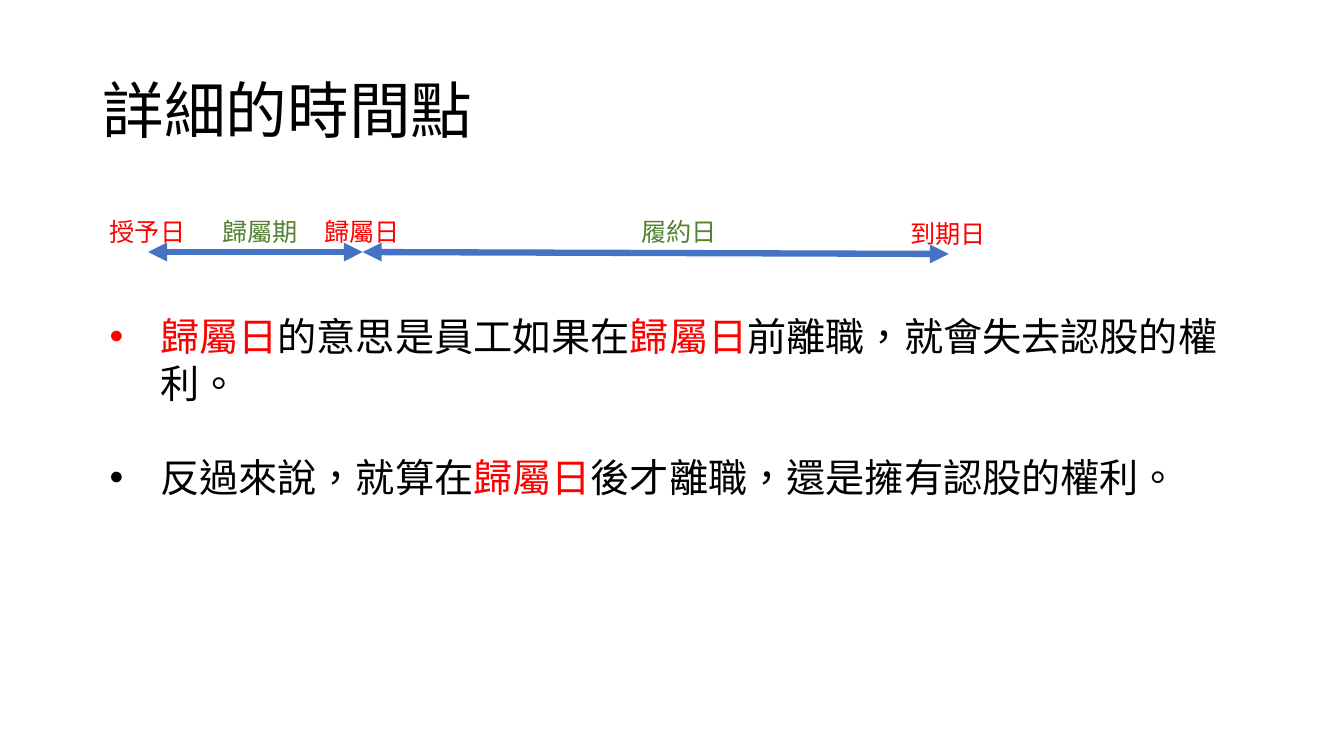
from pptx import Presentation
from pptx.dml.color import RGBColor as Rgb
from pptx.enum.shapes import MSO_CONNECTOR as Conn
from pptx.enum.text import MSO_ANCHOR as Anchor, MSO_AUTO_SIZE as Fit
from pptx.oxml.ns import qn
from pptx.util import Inches, Pt
from lxml.etree import SubElement as Sub

HUES = {"text": "000000", "key": "FF0000", "span": "548235", "arrow": "4472C4"}
SANS = "Noto Sans CJK SC"
LABEL = "Noto Sans CJK TC"
BOTTOM = 2
VEST = "歸屬日"
POINTS = [
    [(VEST, "key"), ("的意思是員工如果在", "text"), (VEST, "key"),
     ("前離職，就會失去認股的權利。", "text")],
    [("反過來說，就算在", "text"), (VEST, "key"),
     ("後才離職，還是擁有認股的權利。", "text")],
]


def style(run, size, hue, face):
    """Format a run, naming the face for East Asian text too."""
    font = run.font
    font.size = Pt(size)
    font.color.rgb = Rgb.from_string(HUES[hue])
    font.name = face
    props = run._r.get_or_add_rPr()
    props.set("lang", "zh-TW")
    Sub(props, qn("a:ea")).set("typeface", face)


def text_box(slide, box, wrap=True):
    shape = slide.shapes.add_textbox(*map(Inches, box))
    shape.text_frame.word_wrap = wrap
    return shape


def title(slide, box, words):
    frame = text_box(slide, box).text_frame
    frame.vertical_anchor = Anchor.MIDDLE
    frame.text = words
    para = frame.paragraphs[0]
    para.line_spacing = 0.9
    style(para.runs[0], 44, "text", SANS)


def label(slide, mid, top, words, hue):
    """Place a label centred on mid."""
    wide, high = 0.96, 0.4
    shape = text_box(slide, (mid - wide / 2, top, wide, high), wrap=False)
    frame = shape.text_frame
    frame.auto_size = Fit.SHAPE_TO_FIT_TEXT
    frame.text = words
    style(frame.paragraphs[0].runs[0], 18, hue, LABEL)
    return shape


def arrow(slide, start, end):
    """Join the bottoms of two labels with a two-headed arrow."""
    line = slide.shapes.add_connector(Conn.STRAIGHT, 0, 0, 0, 0)
    line.begin_connect(start, BOTTOM)
    line.end_connect(end, BOTTOM)
    line.line.color.rgb = Rgb.from_string(HUES["arrow"])
    line.line.width = Pt(4.5)
    for tip in ("a:headEnd", "a:tailEnd"):
        Sub(line.line._get_or_add_ln(), qn(tip)).set("type", "triangle")
    Sub(line._element.spPr, qn("a:effectLst"))


def timeline(slide, box):
    """Dates stand at the arrow ends, periods above the arrows."""
    left, top, wide, _ = box
    grant = label(slide, left, top, "授予日", "key")
    vest = label(slide, left + 0.268 * wide, top, VEST, "key")
    expiry = label(slide, left + wide, top + 0.02, "到期日", "key")
    label(slide, left + 0.141 * wide, top, "歸屬期", "span")
    label(slide, left + 0.664 * wide, top, "履約日", "span")
    arrow(slide, vest, expiry)
    arrow(slide, grant, vest)


def bullets(slide, box, points):
    frame = text_box(slide, box).text_frame
    frame.auto_size = Fit.SHAPE_TO_FIT_TEXT
    for i, parts in enumerate(points):
        para = frame.add_paragraph() if i else frame.paragraphs[0]
        if i:
            para.space_before = Pt(33.6)
        props = para._p.get_or_add_pPr()
        props.set("marL", str(Inches(0.5)))
        props.set("indent", str(-Inches(0.5)))
        Sub(props, qn("a:buFont")).set("typeface", "Arial")
        Sub(props, qn("a:buChar")).set("char", "•")
        for words, hue in parts:
            run = para.add_run()
            run.text = words
            style(run, 28, hue, SANS)


def main():
    deck = Presentation()
    deck.slide_width, deck.slide_height = Inches(13.33), Inches(7.5)
    slide = deck.slides.add_slide(deck.slide_layouts[6])
    timeline(slide, (1.47, 2.1, 7.94, 0.42))
    title(slide, (0.92, 0.4, 11.5, 1.45), "詳細的時間點")
    bullets(slide, (0.99, 3.05, 11.3, 1.99), POINTS)
    deck.save("out.pptx")


if __name__ == "__main__":
    main()
